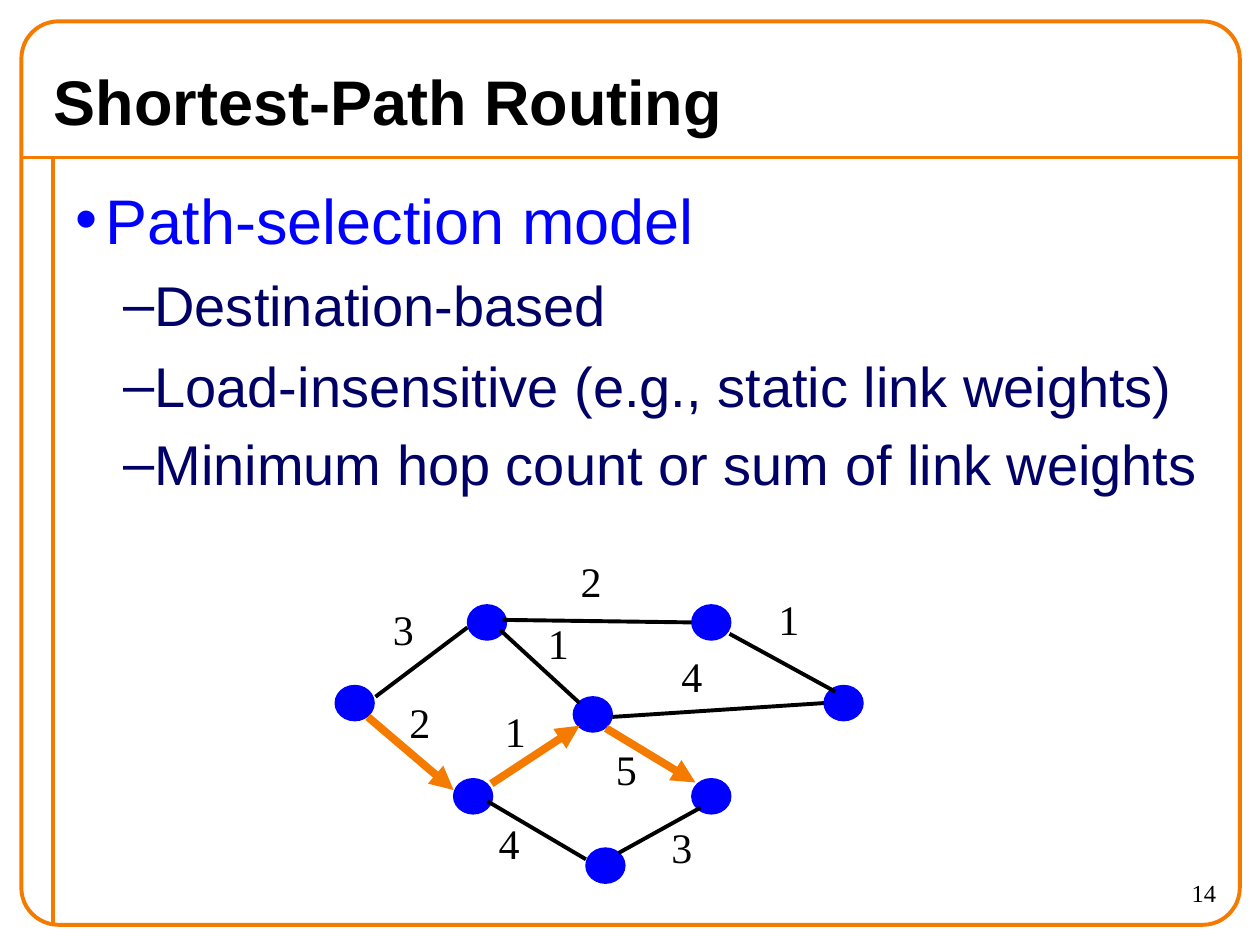
from lxml.etree import SubElement
from pptx import Presentation
from pptx.dml.color import RGBColor
from pptx.enum.shapes import MSO_CONNECTOR, MSO_SHAPE
from pptx.enum.text import MSO_ANCHOR, PP_ALIGN
from pptx.oxml.ns import qn
from pptx.util import Inches, Pt

HUES = {"orange": "F47A00", "blue": "0000FF", "navy": "000066", "black": "000000"}
SANS, SERIF = "Arial", "Times New Roman"


class Pen:
    """Draws styled elements on the current slide."""

    def __init__(self, slide):
        self.slide = slide
        self.shapes = slide.shapes

    def hue(self, name):
        return RGBColor.from_string(HUES[name])

    def line(self, start, end, hue="black", width=2.25, arrow=False):
        ends = [Inches(n) for n in (*start, *end)]
        link = self.shapes.add_connector(MSO_CONNECTOR.STRAIGHT, *ends)
        link.line.color.rgb = self.hue(hue)
        link.line.width = Pt(width)
        if arrow:
            SubElement(link.line._get_or_add_ln(), qn("a:tailEnd"), type="triangle")
        SubElement(link._element.spPr, qn("a:effectLst"))

    def shape(self, kind, area, hue, width, fill=None):
        item = self.shapes.add_shape(kind, *[Inches(n) for n in area])
        item.shadow.inherit = False
        if fill:
            item.fill.solid()
            item.fill.fore_color.rgb = self.hue(fill)
        else:
            item.fill.background()
        item.line.color.rgb = self.hue(hue)
        item.line.width = Pt(width)
        return item

    def box(self, area, wrap=True, anchor=MSO_ANCHOR.TOP):
        frame = self.shapes.add_textbox(*[Inches(n) for n in area]).text_frame
        frame.word_wrap = wrap
        frame.vertical_anchor = anchor
        return frame

    def run(self, para, text, size, font=SERIF, hue="black", bold=False):
        run = para.add_run()
        run.text = text
        run.font.name = font
        run.font.size = Pt(size)
        run.font.bold = bold
        run.font.color.rgb = self.hue(hue)

    def bullet(self, para, mark, left, hue):
        props = para._p.get_or_add_pPr()
        props.set("marL", str(Inches(left)))
        props.set("indent", str(Inches(-0.24)))
        color = SubElement(props, qn("a:buClr"))
        SubElement(color, qn("a:srgbClr"), val=HUES[hue])
        SubElement(props, qn("a:buFont"), typeface=SANS)
        SubElement(props, qn("a:buChar"), char=mark)


def main():
    deck = Presentation()
    deck.slide_width, deck.slide_height = Inches(10), Inches(7.5)
    pen = Pen(deck.slides.add_slide(deck.slide_layouts[6]))

    pen.line((0.17, 1.25), (9.83, 1.25), "orange")
    pen.line((0.42, 1.25), (0.42, 7.33), "orange")
    frame = pen.shape(MSO_SHAPE.ROUNDED_RECTANGLE, (0.17, 0.17, 9.67, 7.17), "orange", 2.25)
    frame.adjustments[0] = 0.041

    title = pen.box((0.33, 0.42, 8.82, 0.75), anchor=MSO_ANCHOR.MIDDLE)
    pen.run(title.paragraphs[0], "Shortest-Path Routing", 36, SANS, bold=True)

    body = pen.box((0.5, 1.33, 9.25, 2.79))
    points = [
        ("Path-selection model", 0, 0),
        ("Destination-based", 1, 4),
        ("Load-insensitive (e.g., static link weights)", 1, 4),
        ("Minimum hop count or sum of link weights", 1, 2.2),
    ]
    looks = [("•", 0.24, "blue", 36), ("–", 0.62, "navy", 32)]
    for i, (text, level, space) in enumerate(points):
        para = body.add_paragraph() if i else body.paragraphs[0]
        mark, left, hue, size = looks[level]
        para.level = level
        para.line_spacing = 1.1
        para.space_before = Pt(space)
        pen.bullet(para, mark, left, hue)
        pen.run(para, text, size, SANS, hue)

    nodes = [
        (2.66, 5.44), (3.6, 6.18), (3.71, 4.8), (4.55, 5.53),
        (5.49, 6.18), (5.49, 4.8), (4.65, 6.73), (6.54, 5.44),
    ]
    for spot in nodes:
        pen.shape(MSO_SHAPE.OVAL, (*spot, 0.31, 0.28), "blue", 0.75, "blue")

    links = [
        ((2.98, 5.53), (3.71, 4.98)),
        ((3.97, 5), (4.6, 5.58)),
        ((3.87, 6.36), (4.65, 6.82)),
        ((4.91, 6.77), (5.56, 6.41)),
        ((4.86, 5.69), (6.54, 5.58)),
        ((3.99, 4.92), (5.49, 4.94)),
        ((5.79, 5.03), (6.63, 5.49)),
    ]
    for start, end in links:
        pen.line(start, end)

    route = [
        ((2.92, 5.69), (3.6, 6.27)),
        ((3.9, 6.22), (4.6, 5.76)),
        ((4.81, 5.78), (5.52, 6.21)),
    ]
    for start, end in route:
        pen.line(start, end, "orange", 4.5, True)

    costs = [
        ("3", 3.02, 4.74), ("2", 4.51, 4.36), ("2", 3.15, 5.48), ("1", 4.25, 4.85),
        ("1", 3.91, 5.55), ("4", 5.31, 5.11), ("1", 6.08, 4.66), ("4", 3.86, 6.44),
        ("5", 4.79, 5.85), ("3", 5.23, 6.47),
    ]
    for cost, left, top in costs:
        label = pen.box((left, top, 0.36, 0.5), wrap=False)
        pen.run(label.paragraphs[0], cost, 24)

    page = pen.box((8.75, 6.92, 1, 0.42)).paragraphs[0]
    page.alignment = PP_ALIGN.RIGHT
    pen.run(page, "14", 14)

    deck.save("out.pptx")


if __name__ == "__main__":
    main()
